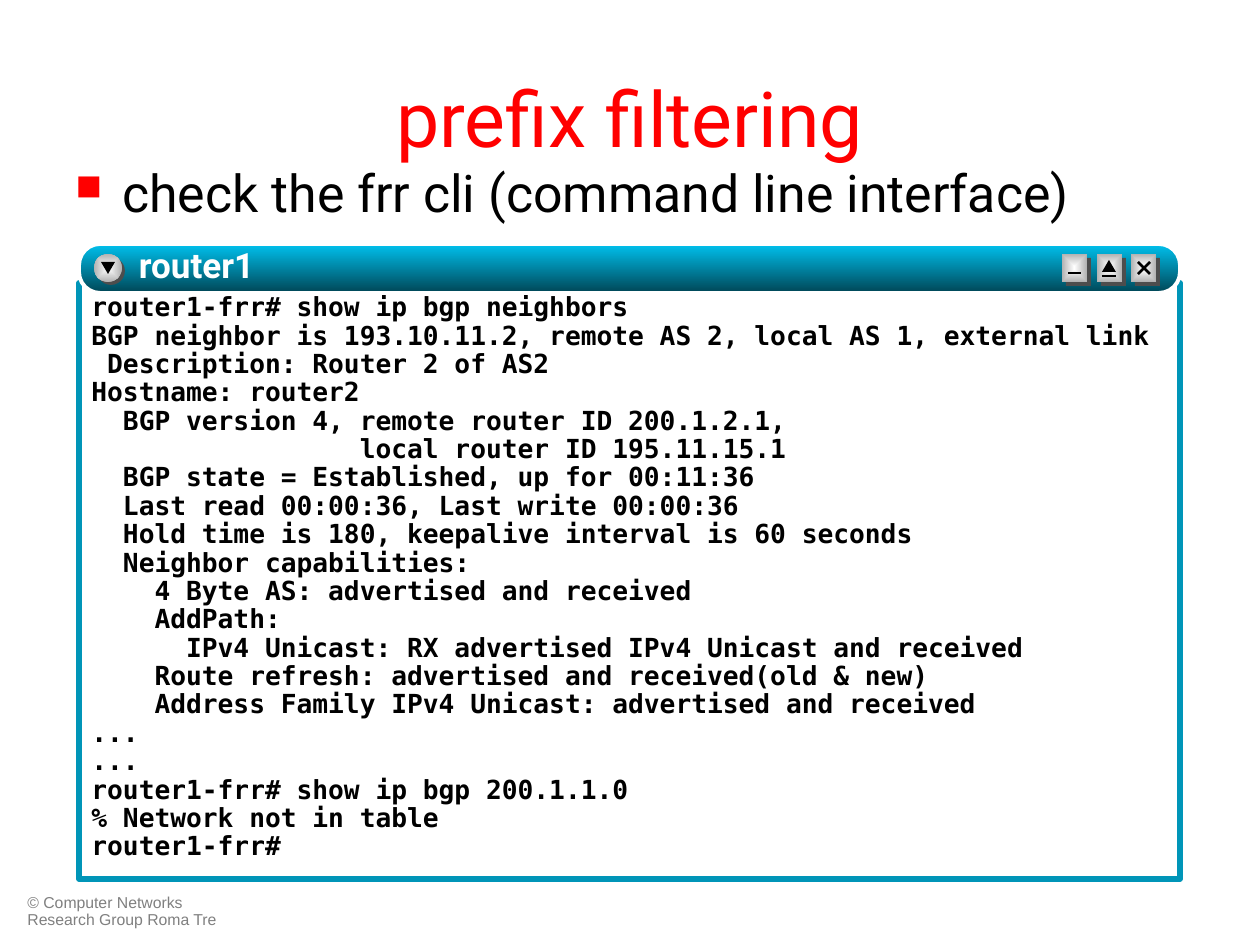
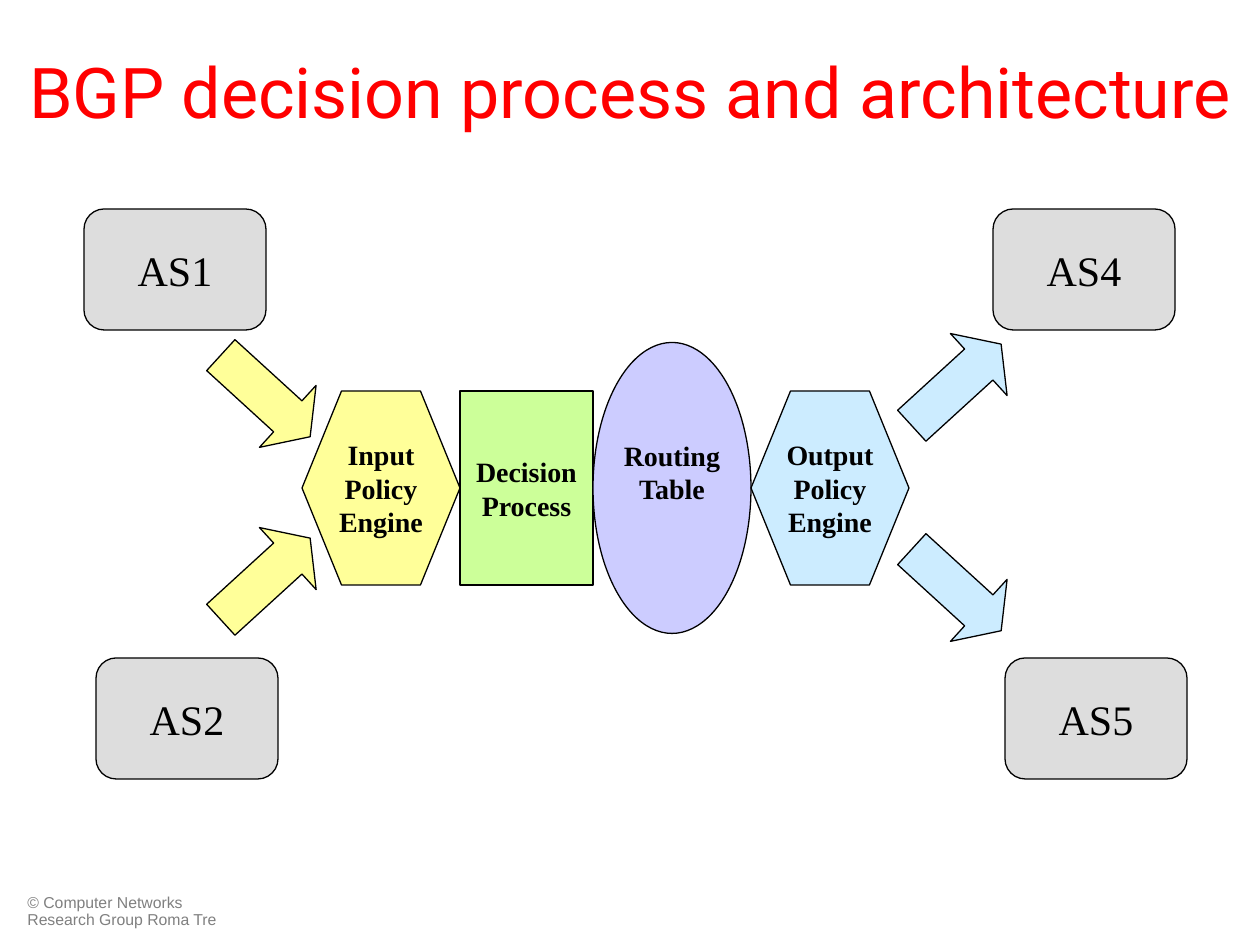
from lxml.etree import SubElement
from pptx import Presentation
from pptx.dml.color import RGBColor
from pptx.enum.shapes import MSO_CONNECTOR, MSO_SHAPE
from pptx.enum.text import MSO_ANCHOR, PP_ALIGN
from pptx.oxml import parse_xml
from pptx.oxml.ns import nsdecls, qn
from pptx.util import Pt

PX = 914400 / 126  # EMU in one px
BLACK, WHITE, RED, GREY = "000000", "FFFFFF", "FF0000", "808080"
FRAME_BLUE, BAR_BLUES = "0095B8", ("00C1EE", "004656")
BUTTON_GREYS, BUTTON_SHADE = ("FFFFFF", "B2B2B2"), "4D4D4D"
AS_GREY, YELLOW, GREEN, LILAC, SKY = "DDDDDD", "FFFF99", "CCFF99", "CCCCFF", "CCECFF"
SANS, SERIF, MONO = "Roboto", "Times New Roman", "DejaVu Sans Mono"


def add_shape(slide, kind, box, fill=None, line=None, width=0.75):
    """Add a preset shape, or a text box if kind is None; a pair of fills is a gradient."""
    box = [round(length * PX) for length in box]
    if kind is None:
        return slide.shapes.add_textbox(*box)
    shape = slide.shapes.add_shape(kind, *box)
    shape.shadow.inherit = False
    if isinstance(fill, tuple):
        shape.fill.gradient()
        for stop, color in zip(shape.fill.gradient_stops, fill):
            stop.color.rgb = RGBColor.from_string(color)
    else:
        shape.fill.solid()
        shape.fill.fore_color.rgb = RGBColor.from_string(fill)
    if line:
        shape.line.color.rgb = RGBColor.from_string(line)
        shape.line.width = Pt(width)
    else:
        shape.line.fill.background()
    return shape


def add_text(shape, lines, font, size, color=BLACK, bold=False, align=PP_ALIGN.LEFT,
             anchor=MSO_ANCHOR.TOP, spacing=None, wrap=True):
    """Write one paragraph per line and return the last run."""
    frame = shape.text_frame
    frame.word_wrap = wrap
    frame.vertical_anchor = anchor
    for number, line in enumerate(lines):
        paragraph = frame.add_paragraph() if number else frame.paragraphs[0]
        paragraph.alignment = align
        paragraph.line_spacing = spacing
        run = paragraph.add_run()
        run.text = line
        run.font.name, run.font.size, run.font.bold = font, Pt(size), bold
        run.font.color.rgb = RGBColor.from_string(color)
    return run


presentation = Presentation()
presentation.slide_width = round(1260 * PX)
presentation.slide_height = round(945 * PX)

# Title and footer of every slide
slides = []
for title, box, size in [
    ("prefix filtering", (63, 38, 1134, 157), 44),
    ("BGP decision process and architecture", (0, 38, 1260, 104), 40),
]:
    slide = presentation.slides.add_slide(presentation.slide_layouts[6])
    footer = add_shape(slide, None, (15, 889, 218, 46))
    add_text(footer, ["© Computer Networks Research Group Roma Tre"], "Arial", 9, GREY, spacing=0.9)
    add_text(add_shape(slide, None, box), [title], SANS, size, RED,
             align=PP_ALIGN.CENTER, anchor=MSO_ANCHOR.MIDDLE)
    slides.append(slide)
terminal_slide, process_slide = slides

# Slide 1: bullet
body = add_shape(terminal_slide, None, (63, 155, 1134, 89))
properties = body.text_frame.paragraphs[0]._p.get_or_add_pPr()
properties.set("marL", str(round(47 * PX)))
properties.set("indent", str(round(-47 * PX)))
SubElement(SubElement(properties, qn("a:buClr")), qn("a:srgbClr"), val=RED)
SubElement(properties, qn("a:buSzPct"), val="70000")
SubElement(properties, qn("a:buChar"), char="■")
add_text(body, ["check the frr cli (command line interface)"], SANS, 29.6)

# Slide 1: terminal window
session = """router1-frr# show ip bgp neighbors
BGP neighbor is 193.10.11.2, remote AS 2, local AS 1, external link
 Description: Router 2 of AS2
Hostname: router2
  BGP version 4, remote router ID 200.1.2.1,
                 local router ID 195.11.15.1
  BGP state = Established, up for 00:11:36
  Last read 00:00:36, Last write 00:00:36
  Hold time is 180, keepalive interval is 60 seconds
  Neighbor capabilities:
    4 Byte AS: advertised and received
    AddPath:
      IPv4 Unicast: RX advertised IPv4 Unicast and received
    Route refresh: advertised and received(old & new)
    Address Family IPv4 Unicast: advertised and received
...
...
router1-frr# show ip bgp 200.1.1.0
% Network not in table
router1-frr#"""
window = add_shape(terminal_slide, MSO_SHAPE.RECTANGLE, (79, 283, 1101, 596), WHITE, FRAME_BLUE, 3)
window.text_frame.margin_top = round(11 * PX)
add_text(window, session.split("\n"), MONO, 15, bold=True, spacing=0.9)

title_bar = add_shape(terminal_slide, MSO_SHAPE.ROUNDED_RECTANGLE, (79, 244, 1101, 49),
                      BAR_BLUES, WHITE, 2.25)
title_bar.adjustments[0] = 0.43
title_bar.fill.gradient_angle = 270

for kind, left, width, shade in [
    (MSO_SHAPE.OVAL, 94, 28, 3),
    (MSO_SHAPE.RECTANGLE, 1062, 25, 4),
    (MSO_SHAPE.RECTANGLE, 1097, 25, 4),
    (MSO_SHAPE.RECTANGLE, 1131, 25, 4),
]:
    add_shape(terminal_slide, kind, (left + shade, 254 + shade, width, 28), BUTTON_SHADE)
    button = add_shape(terminal_slide, kind, (left, 254, width, 28), BUTTON_GREYS)
    gradient = button._element.spPr.find(qn("a:gradFill"))
    gradient.remove(gradient.find(qn("a:lin")))
    from_center = SubElement(gradient, qn("a:path"), path="rect")
    SubElement(from_center, qn("a:fillToRect"), l="50000", t="50000", r="50000", b="50000")

menu_mark = add_shape(terminal_slide, MSO_SHAPE.ISOSCELES_TRIANGLE, (101, 262, 14, 12), BLACK)
menu_mark.rotation = 180
add_shape(terminal_slide, MSO_SHAPE.ISOSCELES_TRIANGLE, (1102, 260, 14, 12), BLACK)
for ends in [
    (1068, 273, 1081, 273),
    (1102, 276, 1116, 276),
    (1138, 274, 1150, 262),
    (1138, 262, 1150, 274),
]:
    stroke = terminal_slide.shapes.add_connector(
        MSO_CONNECTOR.STRAIGHT, *[round(end * PX) for end in ends])
    stroke.line.color.rgb = RGBColor.from_string(BLACK)
    stroke.line.width = Pt(1.5)
    SubElement(stroke._element.spPr, qn("a:effectLst"))

host = add_shape(terminal_slide, None, (139, 244, 328, 49))
host_frame = host.text_frame
host_frame.margin_left = host_frame.margin_right = 0
host_frame.margin_top = host_frame.margin_bottom = 0
host_run = add_text(host, ["router1"], SANS, 20, WHITE, bold=True)
text_shadow = parse_xml(
    f'<a:effectLst {nsdecls("a")}><a:outerShdw dist="25400" dir="2700000">'
    f'<a:srgbClr val="{BLACK}"/></a:outerShdw></a:effectLst>')
host_run.font._element.find(qn("a:solidFill")).addnext(text_shadow)

# Slide 2: autonomous systems
for name, left, top in [("AS1", 84, 209), ("AS2", 96, 658), ("AS4", 993, 209), ("AS5", 1005, 658)]:
    system = add_shape(process_slide, MSO_SHAPE.ROUNDED_RECTANGLE, (left, top, 182, 121), AS_GREY, BLACK)
    add_text(system, [name], SERIF, 24, align=PP_ALIGN.CENTER, anchor=MSO_ANCHOR.MIDDLE, wrap=False)

# Slide 2: stages side by side, centred on one line
left, middle = 302, 488
for words, kind, width, height, color in [
    ("Input Policy Engine", MSO_SHAPE.HEXAGON, 158, 194, YELLOW),
    ("Decision Process", MSO_SHAPE.RECTANGLE, 133, 194, GREEN),
    ("Routing Table", MSO_SHAPE.OVAL, 158, 291, LILAC),
    ("Output Policy Engine", MSO_SHAPE.HEXAGON, 158, 194, SKY),
]:
    stage = add_shape(process_slide, kind, (left, middle - height / 2, width, height), color, BLACK)
    if kind == MSO_SHAPE.OVAL:
        stage.text_frame.margin_bottom = round(38 * PX)
    add_text(stage, words.split(), SERIF, 16, bold=True, align=PP_ALIGN.CENTER,
             anchor=MSO_ANCHOR.MIDDLE, wrap=False)
    left += width

# Slide 2: routes in and out
for left, top, tilt, color in [
    (205, 354, 42.4, YELLOW),
    (205, 537, -42.4, YELLOW),
    (896, 548, 42.4, SKY),
    (896, 343, -42.4, SKY),
]:
    arrow = add_shape(process_slide, MSO_SHAPE.RIGHT_ARROW, (left, top, 121, 84), color, BLACK)
    arrow.adjustments[1] = 0.36
    arrow.rotation = tilt

presentation.save("out.pptx")
